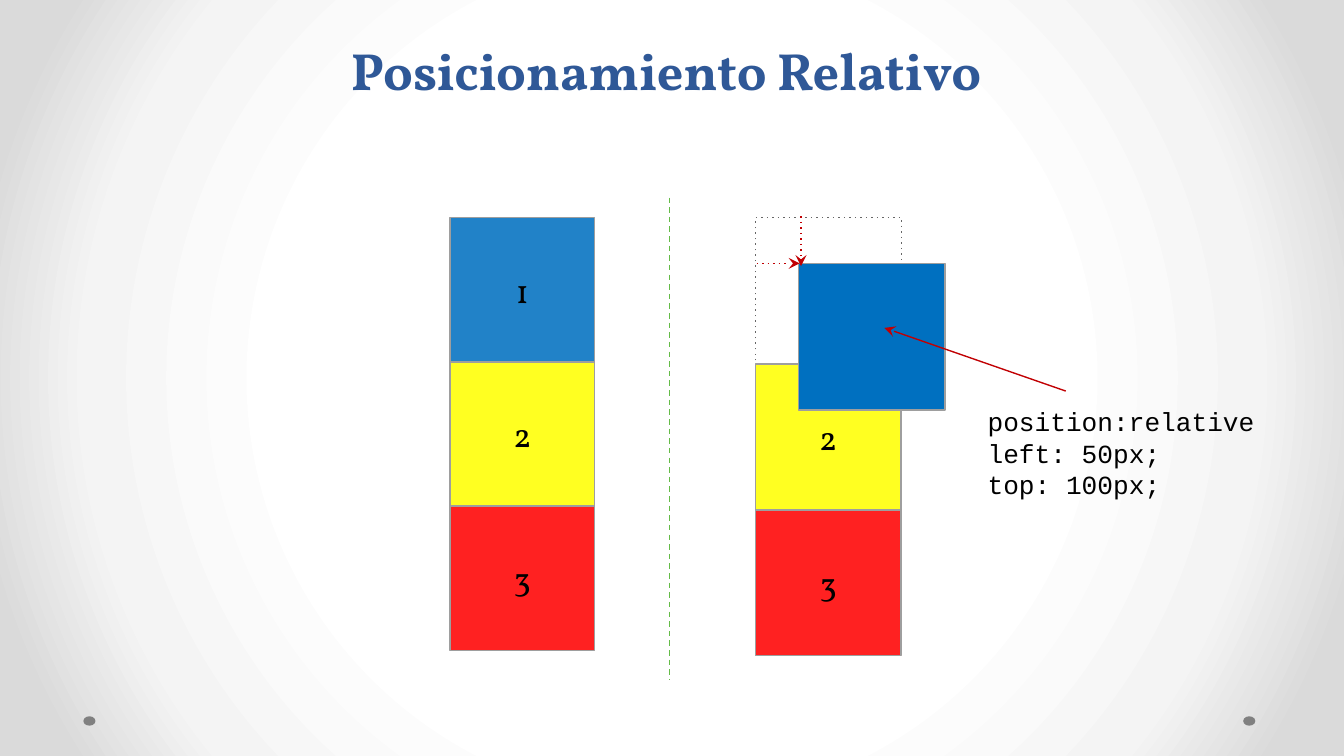
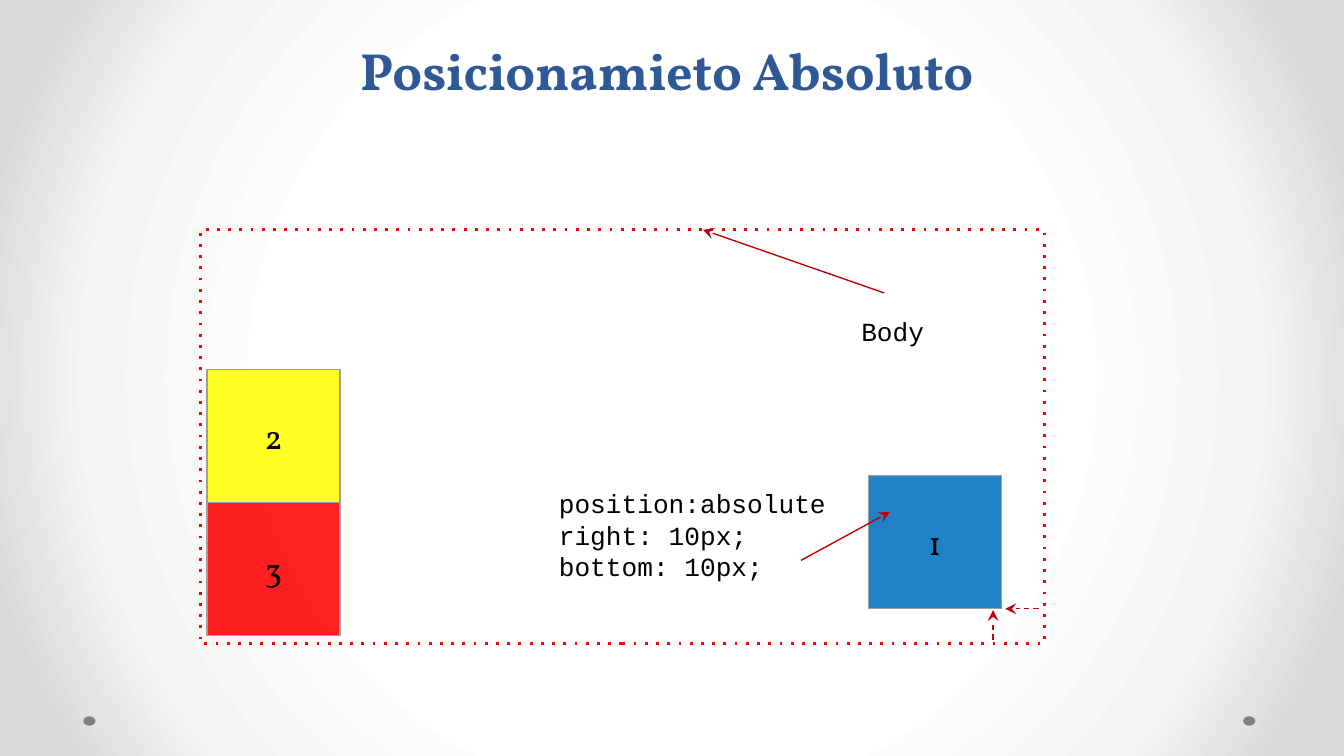
from lxml.etree import SubElement
from pptx import Presentation
from pptx.dml.color import RGBColor
from pptx.enum.shapes import MSO_CONNECTOR, MSO_SHAPE
from pptx.enum.text import MSO_ANCHOR, PP_ALIGN
from pptx.oxml.ns import qn
from pptx.util import Inches, Pt

# Shared look
SERIF, MONO = "Vollkorn", "Courier New"
BLUE, YELLOW, RED = "0070C0", "FFFF00", "FF0000"
TITLE, BLACK, ARROW, EDGE = "2F5897", "000000", "C10003", "9E9E9E"
BACKGROUND = [(50, "FFFFFF"), (76, "F4F4F4"), (92, "DADADA")]
DOTS = [(9.25, 5.33), (0.62, 5.33)]
BLOCKS = {"1": BLUE, "2": YELLOW, "3": RED}

# Content: stacks are (labels, left, top, height); arrows are (from, to, dash)
RELATIVE = {
    "title": ("Posicionamiento Relativo", 1.61, 6.69),
    "outlines": [((5.62, 1.62, 1.09, 1.09), "666666", 0.75)],
    "stacks": [("123", 3.35, 1.62, 3.22), ("23", 5.62, 2.71, 2.17)],
    "notes": [(["position:relative", "left: 50px;", "top: 100px;"],
               (7.25, 2.91, 2.23, 0.92))],
    "divider": ((4.98, 1.47), (4.98, 5.06)),
    "moved": (5.94, 1.96, 1.09, 1.09),
    "arrows": [((7.93, 2.91), (6.58, 2.44), None),
               ((5.63, 1.96), (5.95, 1.96), "dot"),
               ((5.96, 1.61), (5.96, 1.98), "dot")],
}
ABSOLUTE = {
    "title": ("Posicionamieto Absoluto", 2.32, 5.28),
    "outlines": [((1.49, 1.71, 6.28, 3.08), RED, 1.5)],
    "stacks": [("23", 1.54, 2.75, 1.98), ("1", 6.46, 3.54, 0.99)],
    "notes": [(["position:absolute", "right: 10px;", "bottom: 10px;"],
               (4.06, 3.52, 2.25, 0.92)),
              (["Body"], (6.31, 2.18, 0.68, 0.57))],
    "arrows": [((5.96, 4.17), (6.62, 3.81), None),
               ((7.73, 4.53), (7.48, 4.53), "dash"),
               ((7.39, 4.76), (7.39, 4.54), "dash"),
               ((6.58, 2.18), (5.23, 1.71), None)],
}


def color(value):
    return RGBColor.from_string(value)


def style_line(item, value, width, dash=None):
    item.line.color.rgb = color(value)
    item.line.width = Pt(width)
    if dash:
        outline = item.element.spPr.find(qn("a:ln"))
        SubElement(outline, qn("a:prstDash"), val=dash)


def write(box, lines, size=18, font=SERIF, ink=BLACK, bold=False,
          align=PP_ALIGN.CENTER, anchor=MSO_ANCHOR.MIDDLE):
    frame = box.text_frame
    frame.word_wrap = True
    frame.vertical_anchor = anchor
    frame.margin_left = frame.margin_right = Inches(0.1)
    frame.margin_top = frame.margin_bottom = Inches(0.1)
    for index, line in enumerate(lines):
        para = frame.add_paragraph() if index else frame.paragraphs[0]
        para.alignment = align
        span = para.add_run()
        span.text = line
        span.font.size, span.font.name, span.font.bold = Pt(size), font, bold
        span.font.color.rgb = color(ink)


def add_box(page, place, fill=None, edge=None, width=0.75, dash=None,
            alpha=None, kind=MSO_SHAPE.RECTANGLE):
    shape = page.shapes.add_shape(kind, *map(Inches, place))
    shape.shadow.inherit = False
    if fill:
        shape.fill.solid()
        shape.fill.fore_color.rgb = color(fill)
    else:
        shape.fill.background()
    if alpha:
        tint = shape.element.spPr.find(qn("a:solidFill"))[0]
        SubElement(tint, qn("a:alpha"), val=str(alpha * 1000))
    if edge:
        style_line(shape, edge, width, dash)
    else:
        shape.line.fill.background()
    return shape


def add_text(page, place, lines, **style):
    write(page.shapes.add_textbox(*map(Inches, place)), lines, **style)


def add_line(page, start, end, value, dash=None, arrow=False):
    line = page.shapes.add_connector(
        MSO_CONNECTOR.STRAIGHT, *map(Inches, start + end))
    style_line(line, value, 0.75, dash)
    if arrow:
        outline = line.element.spPr.find(qn("a:ln"))
        SubElement(outline, qn("a:tailEnd"), type="stealth")
    SubElement(line.element.spPr, qn("a:effectLst"))


def paint_background(master):
    master.background.fill.gradient()
    gradient = master.element.find(".//" + qn("p:bgPr") + "/" + qn("a:gradFill"))
    for child in list(gradient):
        gradient.remove(child)
    stops = SubElement(gradient, qn("a:gsLst"))
    for position, value in BACKGROUND:
        stop = SubElement(stops, qn("a:gs"), pos=str(position * 1000))
        SubElement(stop, qn("a:srgbClr"), val=value)
    circle = SubElement(gradient, qn("a:path"), path="circle")
    SubElement(circle, qn("a:fillToRect"),
               {side: "50000" for side in "ltrb"})


def build_page(deck, content):
    page = deck.slides.add_slide(deck.slide_layouts[6])
    for left, top in DOTS:
        add_box(page, (left, top, 0.09, 0.07), fill="808080",
                kind=MSO_SHAPE.OVAL)

    # Dotted outlines and stacked blocks
    for place, edge, width in content["outlines"]:
        add_box(page, place, edge=edge, width=width, dash="dot")
    for labels, left, top, height in content["stacks"]:
        side = height / len(labels)
        for row, label in enumerate(labels):
            block = add_box(page, (left, top + row * side, side, side),
                            fill=BLOCKS[label], edge=EDGE, alpha=87)
            write(block, [label])

    # Code notes, divider, displaced block and arrows
    for lines, place in content["notes"]:
        add_text(page, place, lines, size=14, font=MONO, align=PP_ALIGN.LEFT)
    if "divider" in content:
        add_line(page, *content["divider"], "65BB48", dash="dash")
    if "moved" in content:
        add_box(page, content["moved"], fill=BLUE, edge=EDGE)
    for start, end, dash in content["arrows"]:
        add_line(page, start, end, ARROW, dash=dash, arrow=True)

    # Title
    title, left, width = content["title"]
    add_text(page, (left, 0.06, width, 0.79), [title], size=28, ink=TITLE,
             bold=True, anchor=MSO_ANCHOR.BOTTOM)


def main():
    deck = Presentation()
    # Widescreen, 16 to 9
    deck.slide_width = Inches(10)
    deck.slide_height = Inches(10 * 9 / 16)
    paint_background(deck.slide_master)
    for content in (RELATIVE, ABSOLUTE):
        build_page(deck, content)
    deck.save("out.pptx")


if __name__ == "__main__":
    main()
